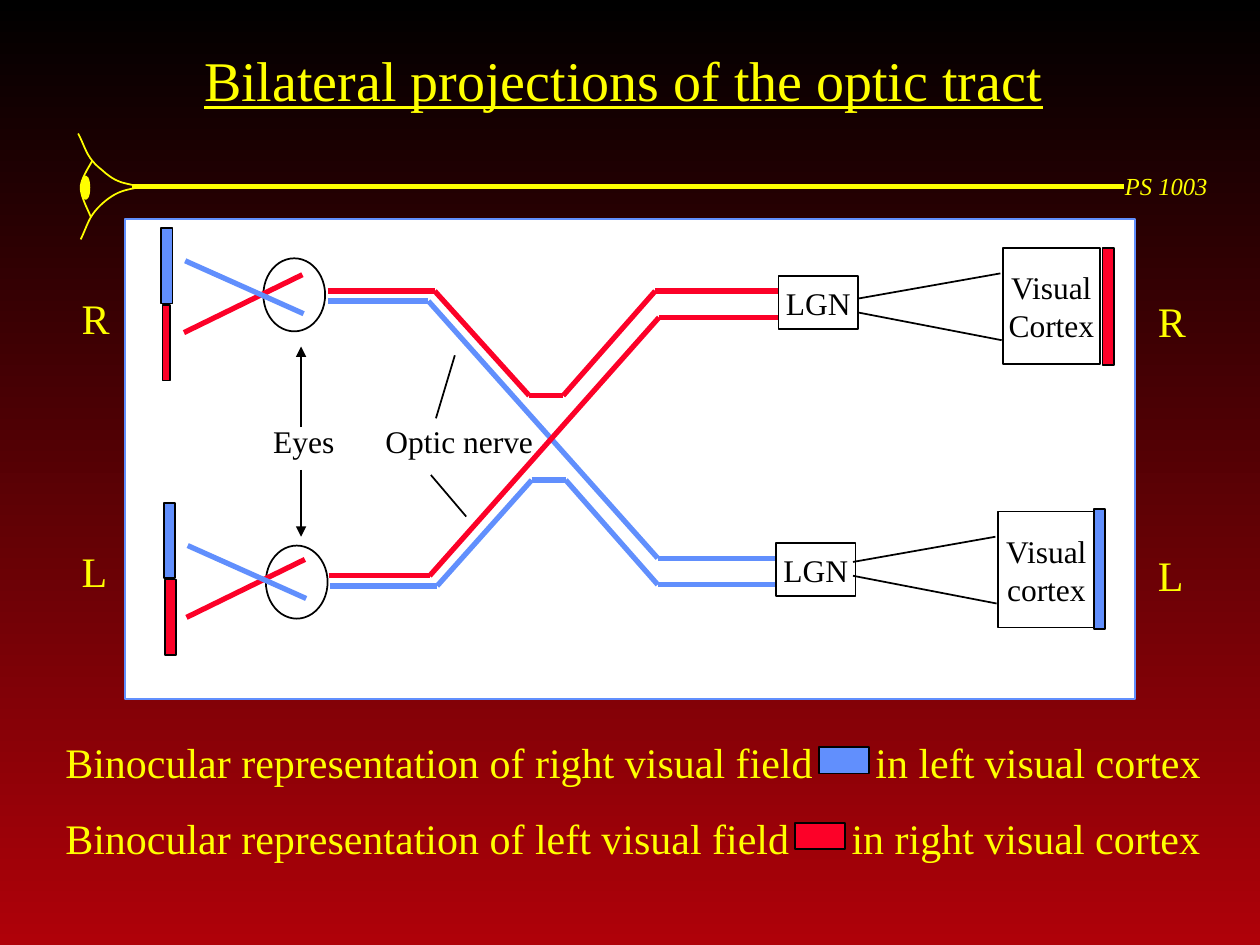
from itertools import pairwise

from lxml import etree
from pptx import Presentation
from pptx import util as u
from pptx.dml.color import RGBColor
from pptx.enum import shapes, text
from pptx.oxml import ns

COLOURS = {"yellow": "FFFF00", "blue": "618FFD", "red": "FC0128",
           "black": "000000", "white": "FFFFFF", "dark red": "AF0109"}
FONT = "Times New Roman"
RECT, OVAL = shapes.MSO_SHAPE.RECTANGLE, shapes.MSO_SHAPE.OVAL
MIDDLE, TOP = text.MSO_ANCHOR.MIDDLE, text.MSO_ANCHOR.TOP
LEFT, CENTER = text.PP_ALIGN.LEFT, text.PP_ALIGN.CENTER

TITLE = "Bilateral projections of the optic tract"
COURSE = "PS 1003"
PANEL = (0.99, 1.74, 8.02, 3.81)

# Bezier curves of the eye emblem: start, two controls, end, and so on
EYE_CURVES = [
    [(0.62, 1.06), (0.68, 1.17), (0.68, 1.25), (0.81, 1.35),
     (0.93, 1.46), (0.99, 1.45), (1.1, 1.48)],
    [(0.64, 1.9), (0.7, 1.78), (0.7, 1.71), (0.83, 1.6),
     (0.95, 1.5), (1.02, 1.51), (1.12, 1.48)],
    [(0.73, 1.28), (0.71, 1.32), (0.64, 1.42), (0.64, 1.49),
     (0.64, 1.56), (0.7, 1.67), (0.72, 1.72)],
]
TRACTS = [
    ("red", [(2.6, 2.31), (3.45, 2.31), (4.2, 3.14), (4.47, 3.14), (5.2, 2.31), (6.18, 2.31)]),
    ("blue", [(2.62, 4.65), (3.47, 4.65), (4.22, 3.81), (4.49, 3.81), (5.22, 4.64), (6.16, 4.64)]),
    ("blue", [(2.6, 2.39), (3.4, 2.39), (5.22, 4.43), (6.16, 4.43)]),
    ("red", [(2.61, 4.57), (3.41, 4.57), (5.23, 2.52), (6.18, 2.52)]),
]
# Steps from the upper half to each half: eye, then light rays
EYE_STEPS = [((0, 0), (0, 0)), ((0.02, 2.28), (0.02, 2.26))]
EYE = (2.09, 2.05, 0.49, 0.58)
RAYS = [("red", [(1.46, 2.64), (2.4, 2.18)]), ("blue", [(1.47, 2.07), (2.41, 2.49)])]
# Steps for each brain side: relay, then cortex and fibres
BRAIN_SIDES = [((0, 0), (0, 0), "Cortex"), ((-0.02, 2.12), (-0.04, 2.09), "cortex")]
RELAY, CORTEX = (6.18, 2.19, 0.63, 0.42), (7.96, 1.97, 0.77, 0.92)
FIBRES = [[(6.81, 2.37), (7.94, 2.17)], [(6.81, 2.48), (7.95, 2.7)]]

BARS = [
    ("blue", (1.28, 1.81, 0.09, 0.6)), ("red", (1.29, 2.42, 0.06, 0.6)),
    ("blue", (1.3, 3.99, 0.09, 0.6)), ("red", (1.31, 4.6, 0.09, 0.6)),
    ("red", (8.75, 1.97, 0.09, 0.93)), ("blue", (8.68, 4.04, 0.09, 0.95)),
]
LABELS = [("Eyes", (2.07, 3.3, 0.7, 0.4)), ("Optic nerve", (2.96, 3.3, 1.38, 0.4))]
POINTERS = [[(3.46, 3.32), (3.61, 2.82)], [(3.42, 3.77), (3.7, 4.1)]]
EYE_ARROWS = [[(2.39, 3.39), (2.39, 2.75)], [(2.39, 3.73), (2.39, 4.26)]]
SIDE_LETTERS = [(0.55, 2.27, 0.42, 2.5), (9.09, 2.3, 0.42, 2.5)]
LEGEND_BOX = (0.42, 5.6, 9.3, 1.3)
LEGEND = [  # words, tab stop after the swatch, swatch colour and place
    ("Binocular representation of right visual field\tin left visual cortex",
     6.43, "blue", (6.5, 5.93, 0.4, 0.21)),
    ("Binocular representation of left visual field\tin right visual cortex",
     6.24, "red", (6.31, 6.53, 0.4, 0.21)),
]

deck = Presentation()
deck.slide_width, deck.slide_height = u.Inches(10), u.Inches(7.5)
page = deck.slides.add_slide(deck.slide_layouts[5])


def rgb(name):
    return RGBColor.from_string(COLOURS[name])


def inches(values):
    return [u.Inches(value) for value in values]


def shift(place, step):
    return (place[0] + step[0], place[1] + step[1], *place[2:])


def set_line(item, colour, width):
    item.line.color.rgb = rgb(colour)
    item.line.width = u.Pt(width)


def write(box, lines, size, colour, align=LEFT, anchor=TOP, wrap=False, **font):
    frame = box.text_frame
    frame.text = "\n".join(lines)
    frame.word_wrap, frame.vertical_anchor = wrap, anchor
    font = {"size": u.Pt(size), "name": FONT, **font}
    for para in frame.paragraphs:
        para.alignment = align
        for span in para.runs:
            span.font.color.rgb = rgb(colour)
            for key, value in font.items():
                setattr(span.font, key, value)
    return frame


def add_label(place, lines, size, colour, **options):
    """Add a text box that grows with its words."""
    box = page.shapes.add_textbox(*inches(place))
    frame = write(box, lines, size, colour, **options)
    frame.auto_size = text.MSO_AUTO_SIZE.SHAPE_TO_FIT_TEXT
    return frame


def add_block(place, fill, line="black", kind=RECT):
    block = page.shapes.add_shape(kind, *inches(place))
    block.shadow.inherit = False
    if fill:
        block.fill.solid()
        block.fill.fore_color.rgb = rgb(fill)
    else:
        block.fill.background()
    set_line(block, line, 1)
    return block


def add_path(points, colour="black", width=1, arrow=False):
    """Join each point to the next with a straight connector."""
    for start, end in pairwise(points):
        link = page.shapes.add_connector(shapes.MSO_CONNECTOR.STRAIGHT, *inches(start + end))
        set_line(link, colour, width)
        if arrow:
            etree.SubElement(link.line._get_or_add_ln(), ns.qn("a:tailEnd"), type="triangle")
        etree.SubElement(link._element.spPr, ns.qn("a:effectLst"))


def add_curve(points, steps=12):
    """Draw chained cubic Bezier curves as one fine open outline."""
    trail = []
    for first in range(0, len(points) - 1, 3):
        a, b, c, d = points[first:first + 4]
        for t in (step / steps for step in range(1, steps + 1)):
            s = 1 - t
            trail.append(inches(s**3 * p + 3 * s * s * t * q + 3 * s * t * t * r + t**3 * v
                                for p, q, r, v in zip(a, b, c, d)))
    builder = page.shapes.build_freeform(*inches(points[0]))
    builder.add_line_segments(trail, close=False)
    curve = builder.convert_to_shape()
    curve.shadow.inherit = False
    curve.fill.background()
    set_line(curve, "yellow", 1)


backdrop = page.background.fill
backdrop.gradient()
backdrop.gradient_angle = 270
for stop, colour in zip(backdrop.gradient_stops, ("black", "dark red")):
    stop.color.rgb = rgb(colour)

title = page.shapes.title
title.left, title.top, title.width, title.height = inches((0.7, 0, 8.5, 1.25))
write(title, [TITLE], 32, "yellow", align=CENTER, anchor=MIDDLE, wrap=True, underline=True)

add_path([(1.05, 1.48), (8.92, 1.48)], "yellow", 3)
for curve_points in EYE_CURVES:
    add_curve(curve_points)
add_block((0.65, 1.4, 0.06, 0.18), "yellow", "yellow", OVAL)
add_label((8.83, 1.31, 0.87, 0.34), [COURSE], 14, "yellow", italic=True)

add_block(PANEL, "white", "blue")
for eye_step, ray_step in EYE_STEPS:
    add_block(shift(EYE, eye_step), None, kind=OVAL)
    for colour, ray in RAYS:
        add_path([shift(point, ray_step) for point in ray], colour, 3)
for colour, tract in TRACTS:
    add_path(tract, colour, 3)
for relay_step, cortex_step, cortex in BRAIN_SIDES:
    for place, lines in ((shift(CORTEX, cortex_step), ["Visual", cortex]),
                         (shift(RELAY, relay_step), ["LGN"])):
        write(add_block(place, "white"), lines, 18, "black", align=CENTER, anchor=MIDDLE)
    for fibre in FIBRES:
        add_path([shift(point, cortex_step) for point in fibre])
for words, place in LABELS:
    add_label(place, [words], 18, "black")
for pointer in POINTERS:
    add_path(pointer)
for colour, place in BARS:
    add_block(place, colour)
for arrow in EYE_ARROWS:
    add_path(arrow, arrow=True)

legend = add_label(LEGEND_BOX, [row[0] for row in LEGEND], 24, "yellow", wrap=True)
for para, (_, tab, colour, swatch) in zip(legend.paragraphs, LEGEND):
    para.line_spacing = 1.5
    tabs = etree.SubElement(para._p.get_or_add_pPr(), ns.qn("a:tabLst"))
    etree.SubElement(tabs, ns.qn("a:tab"), pos=str(u.Inches(tab)), algn="l")
    add_block(swatch, colour)
for place in SIDE_LETTERS:
    letters = add_label(place, ["R", "L"], 24, "yellow")
    letters.paragraphs[1].space_before = u.Pt(116)

deck.save("out.pptx")
